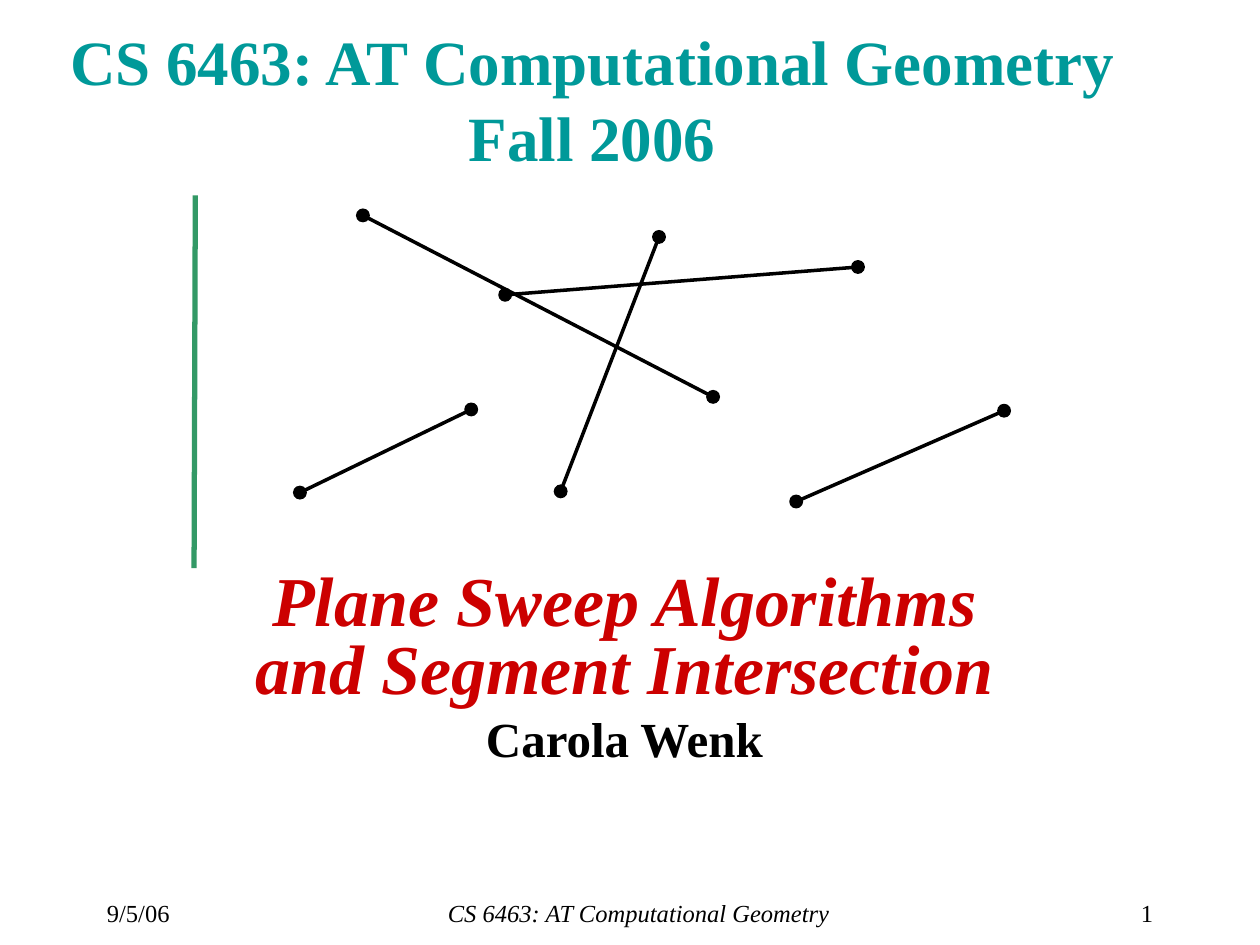
from pptx import Presentation
from pptx.util import Pt
from pptx.dml.color import RGBColor
from pptx.enum.shapes import MSO_CONNECTOR as Conn, MSO_SHAPE as Kind
from pptx.enum.text import MSO_ANCHOR as Anchor, PP_ALIGN as Align
from pptx.oxml.ns import qn
from lxml import etree

FONT = "Times New Roman"
BLACK, TEAL, RED, GREEN = "000000", "009999", "CC0000", "339966"
DOT = 7.2

# Ends of each segment, relative to the diagram box
SEGS = [
    ((97.4, 13.1), (297.5, 116.8)),
    ((61.4, 171.5), (159.3, 124)),
    ((210.4, 170.8), (266.6, 25.4)),
    ((178.7, 58.5), (380.3, 42.6)),
    ((345, 176.6), (463.8, 124.7)),
]


def color(code):
    return RGBColor.from_string(code)


def add_text(slide, box, paras, anchor=Anchor.TOP, low=3.6):
    """Each paragraph is (text, font values, paragraph values, colour)."""
    frame = slide.shapes.add_textbox(*map(Pt, box)).text_frame
    edges = {"margin_left": 7.2, "margin_right": 7.2,
             "margin_top": 3.6, "margin_bottom": low}
    for name, size in edges.items():
        setattr(frame, name, Pt(size))
    frame.word_wrap = True
    frame.vertical_anchor = anchor
    for i, (text, font, form, code) in enumerate(paras):
        para = frame.add_paragraph() if i else frame.paragraphs[0]
        para.text = text
        for name, value in form.items():
            setattr(para, name, value)
        for run in para.runs:
            for name, value in ({"name": FONT} | font).items():
                setattr(run.font, name, value)
            run.font.color.rgb = color(code)


def add_line(slide, start, end, code, width):
    line = slide.shapes.add_connector(Conn.STRAIGHT, *map(Pt, start + end))
    line.line.color.rgb = color(code)
    line.line.width = Pt(width)
    etree.SubElement(line._element.spPr, qn("a:effectLst"))


def add_dot(slide, x, y):
    dot = slide.shapes.add_shape(
        Kind.OVAL, *map(Pt, (x - DOT / 2, y - DOT / 2, DOT, DOT)))
    dot.shadow.inherit = False
    dot.fill.solid()
    dot.fill.fore_color.rgb = color(BLACK)
    dot.line.color.rgb = color(BLACK)
    dot.line.width = Pt(0.75)


def add_title(slide, box):
    # The deep bottom margin lifts the two lines above the box centre
    add_text(slide, box, [
        ("CS 6463: AT Computational Geometry\vFall 2006",
         {"size": Pt(36), "bold": True}, {"alignment": Align.CENTER}, TEAL),
    ], Anchor.MIDDLE, low=46.8)


def add_topic(slide, box):
    form = {"alignment": Align.CENTER, "line_spacing": 0.8}
    add_text(slide, box, [
        ("Plane Sweep Algorithms\vand Segment Intersection",
         {"size": Pt(40), "bold": True, "italic": True},
         form | {"space_before": Pt(10)}, RED),
        ("Carola Wenk", {"size": Pt(28), "bold": True},
         form | {"space_before": Pt(7)}, BLACK),
    ])


def add_sweep(slide, box):
    left, top, _, high = box
    segs = [[(left + x, top + y) for x, y in seg] for seg in SEGS]
    # End points
    for seg in segs:
        for x, y in seg:
            add_dot(slide, x, y)
    # Sweep line, then the segments
    add_line(slide, (left + 1.6, top + 1.6), (left + 0.9, top + high),
             GREEN, 3)
    for start, end in segs:
        add_line(slide, start, end, BLACK, 2)


def add_footer(slide, box):
    left, top, _, high = box
    parts = [
        ("CS 6463: AT Computational Geometry", 82.8, 456.5,
         Align.CENTER, True),
        ("1", 553, 59, Align.RIGHT, False),
        ("9/5/06", 0, 68.4, Align.LEFT, False),
    ]
    for text, x, wide, align, slant in parts:
        add_text(slide, (left + x, top, wide, high), [
            (text, {"size": Pt(14), "italic": slant},
             {"alignment": align}, BLACK)])


def main():
    deck = Presentation()
    deck.slide_width, deck.slide_height = Pt(720), Pt(540)
    slide = deck.slides.add_slide(deck.slide_layouts[6])
    add_title(slide, (17.3, 38.9, 642.2, 77.8))
    add_topic(slide, (23.8, 324, 666, 120.2))
    add_sweep(slide, (110, 110, 464, 214.7))
    add_footer(slide, (54, 509.8, 612, 18))
    deck.save("out.pptx")


if __name__ == "__main__":
    main()
